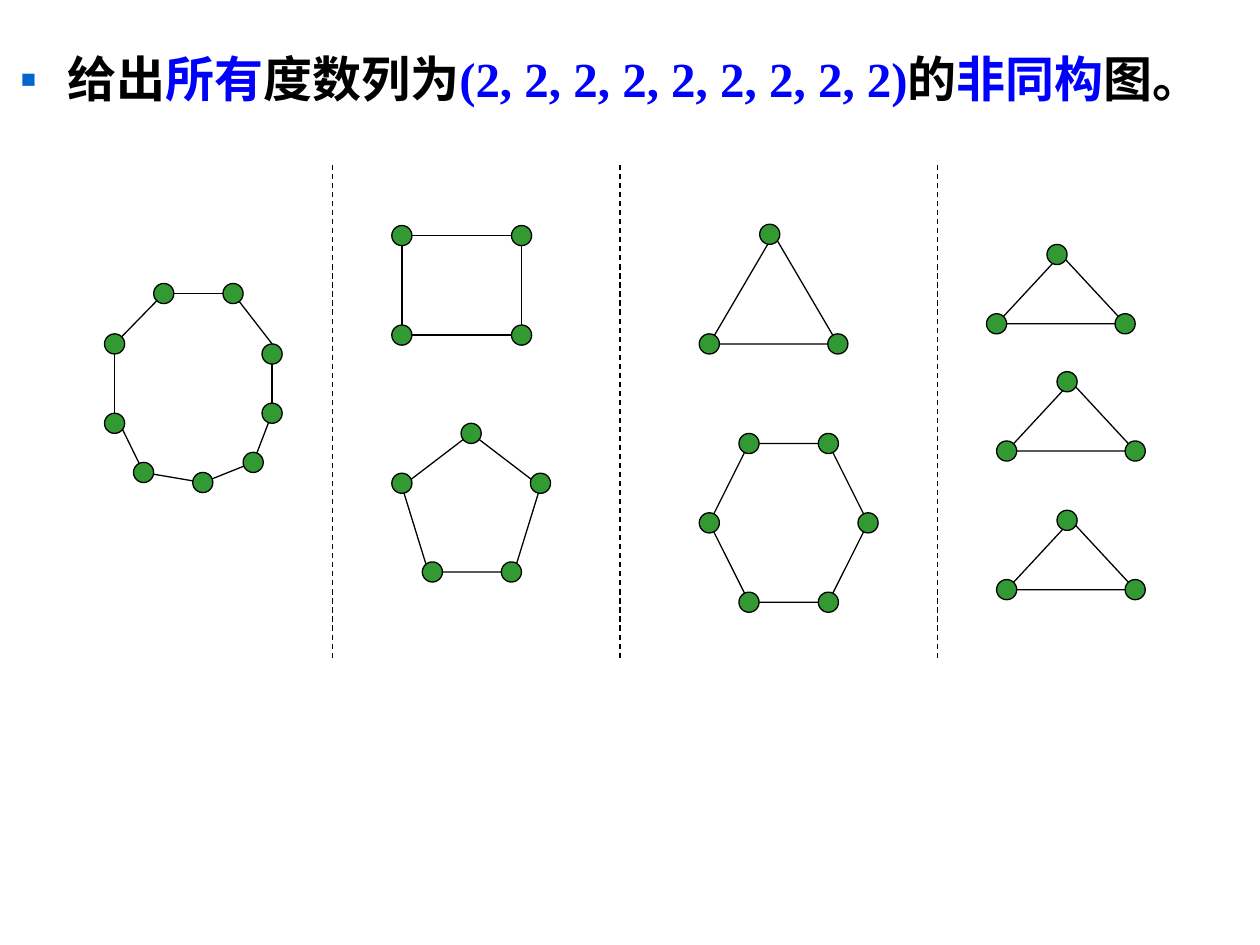
from dataclasses import dataclass

from lxml.etree import SubElement
from pptx import Presentation
from pptx.dml.color import RGBColor
from pptx.enum.dml import MSO_LINE_DASH_STYLE as DASH
from pptx.enum.shapes import MSO_CONNECTOR as CONNECTOR, MSO_SHAPE as SHAPE
from pptx.enum.text import MSO_ANCHOR as ANCHOR
from pptx.oxml.ns import qn
from pptx.util import Inches, Pt


@dataclass(frozen=True)
class Theme:
    ink: str = "000000"
    accent: str = "0000FF"
    bullet: str = "0066CC"
    node: str = "339933"
    text_font: str = "Arial"
    math_font: str = "Times New Roman"
    text_size: float = 28
    line_width: float = 0.75
    node_size: float = 0.16


THEME = Theme()

TRIANGLE = (SHAPE.ISOSCELES_TRIANGLE, [(0.47, 0), (1, 1), (0, 1)])
RECTANGLE = (SHAPE.RECTANGLE, [(0, 0), (1, 0), (1, 1), (0, 1)])
PENTAGON = (SHAPE.REGULAR_PENTAGON,
            [(0.5, 0), (1, 0.36), (0.79, 1), (0.22, 1), (0, 0.36)])
HEXAGON = (SHAPE.HEXAGON, [(0.25, 0), (0.75, 0), (1, 0.5),
                           (0.75, 1), (0.25, 1), (0, 0.5)])

NONAGON_BOX = (0.91, 2.33, 1.25, 1.5)
NONAGON_CORNERS = [(0.39, 0), (0.94, 0), (1.25, 0.4), (1.25, 0.95), (1.1, 1.34),
                   (0.7, 1.5), (0.23, 1.42), (0, 0.95), (0, 0.4)]
LOWERED_NODES = {2: 0.08, 7: 0.08}

POLYGON_GROUPS = [
    [(RECTANGLE, (3.19, 1.87, 0.95, 0.79)), (PENTAGON, (3.19, 3.44, 1.1, 1.1))],
    [(TRIANGLE, (5.63, 1.86, 1.02, 0.87)), (HEXAGON, (5.63, 3.52, 1.26, 1.26))],
    [(TRIANGLE, (left, top, 1.02, 0.55))
     for left, top in [(7.91, 2.02), (7.99, 3.03), (7.99, 4.13)]],
]
DIVIDERS = [2.64, 4.92, 7.44]

TITLE_BOX = (0.06, 0.2, 9.82, 0.87)
TITLE_SPANS = [
    ("给出", THEME.text_font, THEME.ink),
    ("所有", THEME.text_font, THEME.accent),
    ("度数列为", THEME.text_font, THEME.ink),
    ("(2, 2, 2, 2, 2, 2, 2, 2, 2)", THEME.math_font, THEME.accent),
    ("的", THEME.text_font, THEME.ink),
    ("非同构", THEME.text_font, THEME.accent),
    ("图。", THEME.text_font, THEME.ink),
]


def apply(target, values):
    for name, value in values.items():
        setattr(target, name, value)


def color(value):
    return RGBColor.from_string(value)


def style_line(line):
    line.color.rgb = color(THEME.ink)
    line.width = Pt(THEME.line_width)


def add_outline(shapes, kind, box, fill=None):
    shape = shapes.add_shape(kind, *map(Inches, box))
    shape.shadow.inherit = False
    if fill:
        shape.fill.solid()
        shape.fill.fore_color.rgb = color(fill)
    else:
        shape.fill.background()
    style_line(shape.line)
    return shape


def add_edge(shapes, start, end):
    edge = shapes.add_connector(CONNECTOR.STRAIGHT, *map(Inches, (*start, *end)))
    SubElement(edge._element.spPr, qn("a:effectLst"))
    style_line(edge.line)
    return edge


def add_node(shapes, x, y):
    size = THEME.node_size
    add_outline(shapes, SHAPE.OVAL, (x - size / 2, y - size / 2, size, size), THEME.node)


def add_title(page, box):
    frame = page.shapes.add_textbox(*map(Inches, box)).text_frame
    apply(frame, {"word_wrap": True, "vertical_anchor": ANCHOR.TOP})
    para = frame.paragraphs[0]
    apply(para, {"line_spacing": 1.3, "space_before": Pt(0)})
    properties = para._p.get_or_add_pPr()
    properties.set("marL", str(Inches(0.38)))
    properties.set("indent", str(Inches(-0.38)))
    bullet_color = SubElement(properties, qn("a:buClr"))
    SubElement(bullet_color, qn("a:srgbClr"), val=THEME.bullet)
    SubElement(properties, qn("a:buFont"), typeface=THEME.text_font)
    SubElement(properties, qn("a:buChar"), char="▪")
    for text, font, ink in TITLE_SPANS:
        span = para.add_run()
        span.text = text
        apply(span.font, {"name": font, "size": Pt(THEME.text_size), "bold": True})
        span.font.color.rgb = color(ink)


def add_nonagon(page, box):
    shapes = page.shapes.add_group_shape().shapes
    left, top = box[:2]
    corners = [(left + x, top + y) for x, y in NONAGON_CORNERS]
    for start, end in zip(corners, corners[1:] + corners[:1]):
        add_edge(shapes, start, end)
    for index, (x, y) in enumerate(corners):
        add_node(shapes, x, y + LOWERED_NODES.get(index, 0))


def add_polygon(shapes, polygon, box):
    kind, corners = polygon
    left, top, width, height = box
    add_outline(shapes, kind, box)
    for x, y in corners:
        add_node(shapes, left + x * width, top + y * height)


def add_dividers(page, top, bottom):
    for x in DIVIDERS:
        add_edge(page.shapes, (x, top), (x, bottom)).line.dash_style = DASH.DASH


def main():
    deck = Presentation()
    apply(deck, {"slide_width": Inches(10), "slide_height": Inches(7.5)})
    page = deck.slides.add_slide(deck.slide_layouts[6])
    add_title(page, TITLE_BOX)
    for polygons in reversed(POLYGON_GROUPS):
        shapes = page.shapes.add_group_shape().shapes
        for polygon, box in polygons:
            add_polygon(shapes, polygon, box)
    add_nonagon(page, NONAGON_BOX)
    add_dividers(page, 1.31, 5.25)
    deck.save("out.pptx")


if __name__ == "__main__":
    main()
